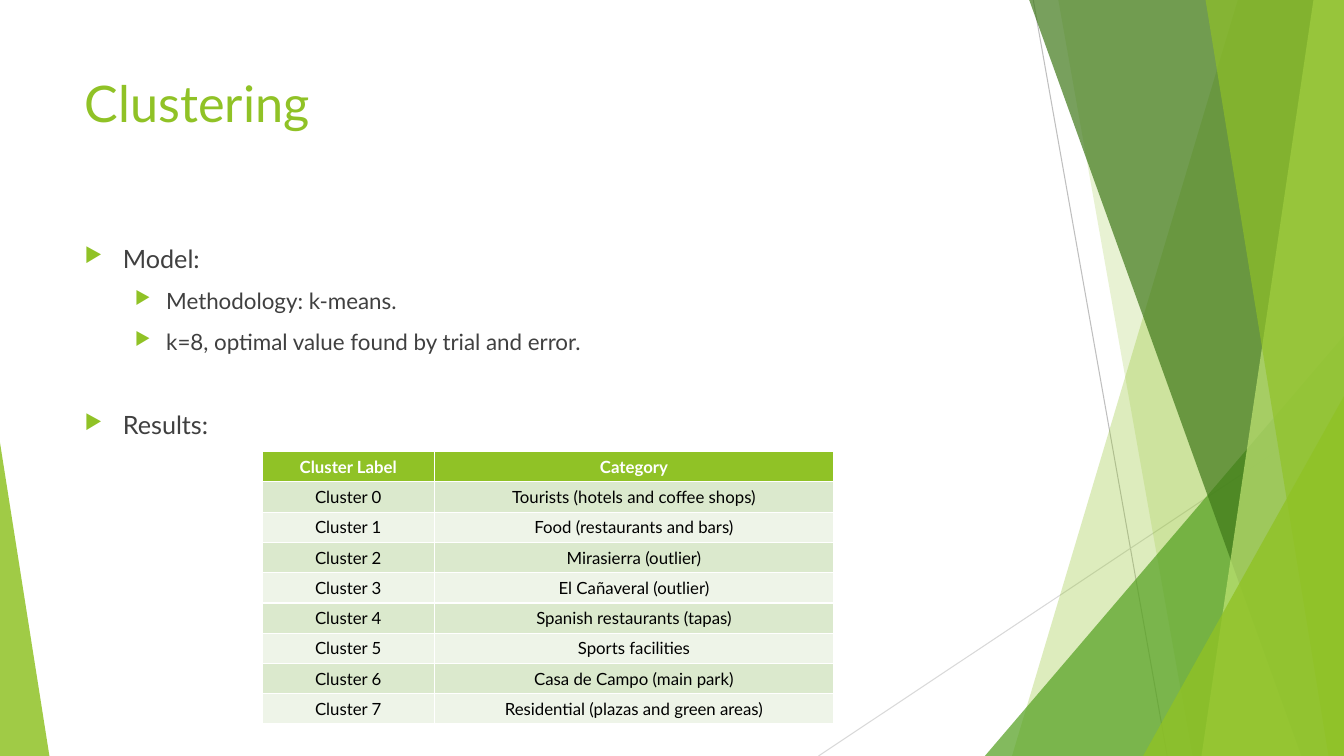
from lxml import etree
from pptx import Presentation
from pptx.dml.color import RGBColor
from pptx.enum.shapes import MSO_CONNECTOR, MSO_SHAPE
from pptx.enum.text import MSO_ANCHOR, PP_ALIGN
from pptx.oxml.ns import qn
from pptx.util import Inches, Pt

STRAIGHT = MSO_CONNECTOR.STRAIGHT
TRIANGLE = MSO_SHAPE.ISOSCELES_TRIANGLE
TOP, MIDDLE = MSO_ANCHOR.TOP, MSO_ANCHOR.MIDDLE
LEFT, CENTER = PP_ALIGN.LEFT, PP_ALIGN.CENTER

THEME = {
    "font": "Lato",
    "lime": "90C226", "green": "54A021", "forest": "3F7819", "pale": "C0E474",
    "text": "404040", "white": "FFFFFF", "black": "000000",
    "bands": ("EEF4E8", "DBE9CD"),
    "title_size": 36, "level_sizes": (18, 16), "table_size": 12,
}

prs = Presentation()
prs.slide_width, prs.slide_height = Inches(13.333), Inches(7.5)
ACROSS, DOWN = prs.slide_width / 100, prs.slide_height / 100  # 100 x 100 grid
slide = prs.slides.add_slide(prs.slide_layouts[5])
shapes = slide.shapes


def box(left, top, width, height):
    """Turn grid units into left, top, width and height in EMU."""
    return (round(left * ACROSS), round(top * DOWN),
            round(width * ACROSS), round(height * DOWN))


def style_font(paragraph, size, color, bold=False):
    paragraph.font.name = THEME["font"]
    paragraph.font.size = Pt(size)
    paragraph.font.bold = bold
    paragraph.font.color.rgb = RGBColor.from_string(color)


# Thin crossing lines
for x1, y1, x2, y2, gray in ((76.88, 0, 86.85, 100, "BFBFBF"),
                             (100, 53.73, 60.9, 100, "D9D9D9")):
    ray = shapes.add_connector(STRAIGHT, *box(x1, y1, x2, y2))
    ray.line.color.rgb = RGBColor.from_string(gray)
    ray.line.width = Pt(0.75)
    etree.SubElement(ray._element.spPr, qn("a:effectLst"))

# Shards: a band runs from its top x to its bottom x and on to the right edge;
# a wedge fills a bottom corner, with its peak at the slide's side
facets = (
    ("band", 92.1, 75.3, "lime", 30),
    ("band", 78.75, 88.73, "lime", 20),
    ("wedge", (73.28, 44.4, 26.72, 55.6), 1, "green", 72),
    ("band", 76.58, 96.83, "forest", 70),
    ("band", 97.73, 89.4, "pale", 70),
    ("band", 89.7, 98.85, "lime", 65),
    ("wedge", (85.05, 52.4, 14.95, 47.6), 1, "lime", 80),
    ("wedge", (0, 58.53, 3.68, 41.47), 0, "lime", 85),
)
for kind, start, end, color, opacity in facets:
    if kind == "band":
        outline = shapes.build_freeform(round(start * ACROSS), 0)
        outline.add_line_segments(
            [box(x, y, 0, 0)[:2] for x, y in ((100, 0), (100, 100), (end, 100))])
        facet = outline.convert_to_shape()
    else:
        facet = shapes.add_shape(TRIANGLE, *box(*start))
        facet.adjustments[0] = end
    facet.shadow.inherit = False
    facet.line.fill.background()
    facet.fill.solid()
    facet.fill.fore_color.rgb = RGBColor.from_string(THEME[color])
    tint = facet._element.spPr.find(qn("a:solidFill"))[0]
    etree.SubElement(tint, qn("a:alpha"), val=str(opacity * 1000))

# Title
title = shapes.title
title.left, title.top, title.width, title.height = box(5.55, 8.93, 70.5, 19.2)
title.text_frame.text = "Clustering"
title.text_frame.vertical_anchor = TOP
heading = title.text_frame.paragraphs[0]
heading.alignment = LEFT
style_font(heading, THEME["title_size"], THEME["lime"])

# Bulleted outline: level, space before in points, wording
outline_points = (
    (0, 10, "Model:"),
    (1, 10, "Methodology: k-means."),
    (1, 10, "k=8, optimal value found by trial and error."),
    (0, 39, "Results:"),
)
indents = ((0.38, -0.38), (0.81, -0.31))
body = shapes.add_textbox(*box(5.55, 31.47, 70.5, 56.53)).text_frame
body.word_wrap = True
for i, (level, gap, wording) in enumerate(outline_points):
    point = body.add_paragraph() if i else body.paragraphs[0]
    point.text = wording
    point.level = level
    point.space_before = Pt(gap)
    margin, hanging = indents[level]
    props = point._p.get_or_add_pPr()
    props.set("marL", str(Inches(margin)))
    props.set("indent", str(Inches(hanging)))
    bullet_color = etree.SubElement(props, qn("a:buClr"))
    etree.SubElement(bullet_color, qn("a:srgbClr"), val=THEME["lime"])
    etree.SubElement(props, qn("a:buSzPct"), val="80000")
    etree.SubElement(props, qn("a:buChar"), char="▶")
    style_font(point, THEME["level_sizes"][level], THEME["text"])

# Cluster table
categories = (
    "Tourists (hotels and coffee shops)",
    "Food (restaurants and bars)",
    "Mirasierra (outlier)",
    "El Cañaveral (outlier)",
    "Spanish restaurants (tapas)",
    "Sports facilities",
    "Casa de Campo (main park)",
    "Residential (plazas and green areas)",
)
records = [("Cluster Label", "Category")]
records += [(f"Cluster {n}", category) for n, category in enumerate(categories)]
column_shares = (12.83, 29.7)
row_share = 4
clusters = shapes.add_table(
    len(records), len(column_shares),
    *box(19.5, 59.73, sum(column_shares), row_share * len(records))).table
for column, share in zip(clusters.columns, column_shares):
    column.width = round(share * ACROSS)
for r, record in enumerate(records):
    header = r == 0
    fill = THEME["lime"] if header else THEME["bands"][r % 2]
    ink = THEME["white"] if header else THEME["black"]
    for c, wording in enumerate(record):
        cell = clusters.cell(r, c)
        cell.text = wording
        cell.vertical_anchor = MIDDLE
        cell.fill.solid()
        cell.fill.fore_color.rgb = RGBColor.from_string(fill)
        entry = cell.text_frame.paragraphs[0]
        entry.alignment = CENTER
        style_font(entry, THEME["table_size"], ink, bold=header)

prs.save("out.pptx")
